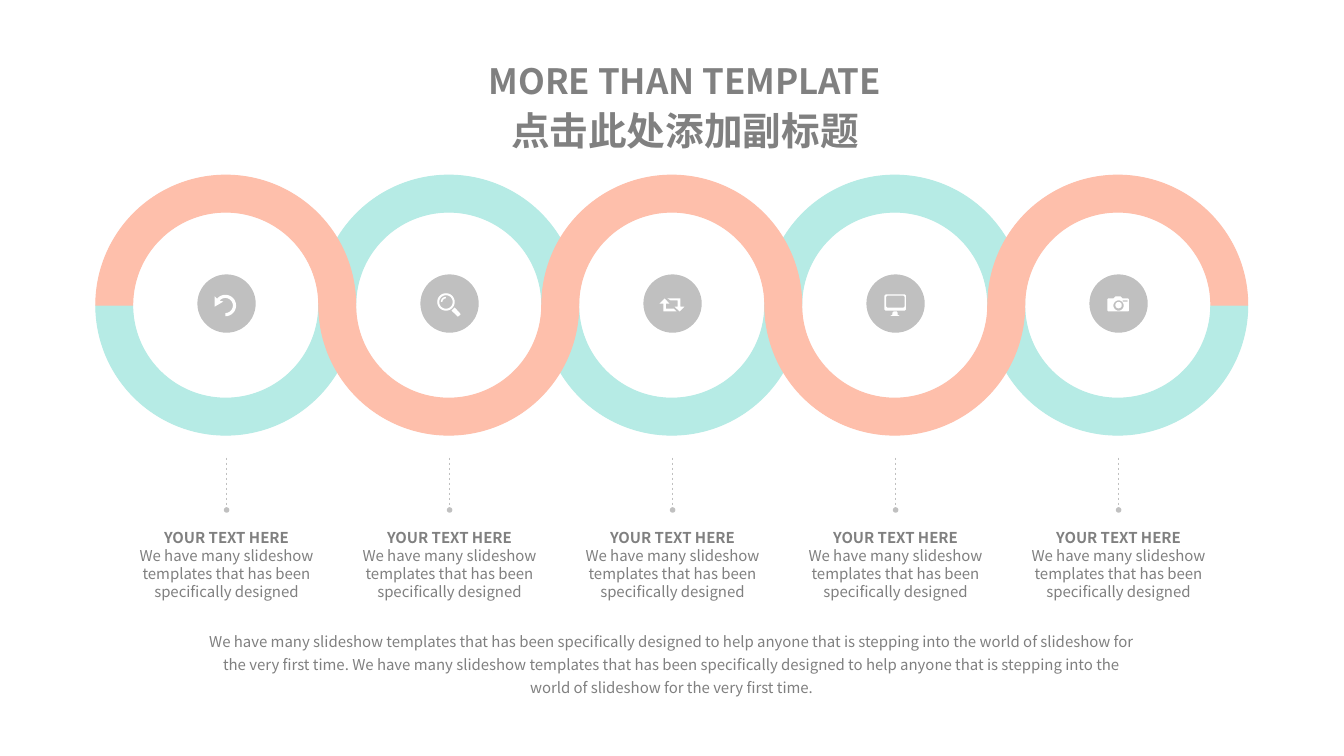
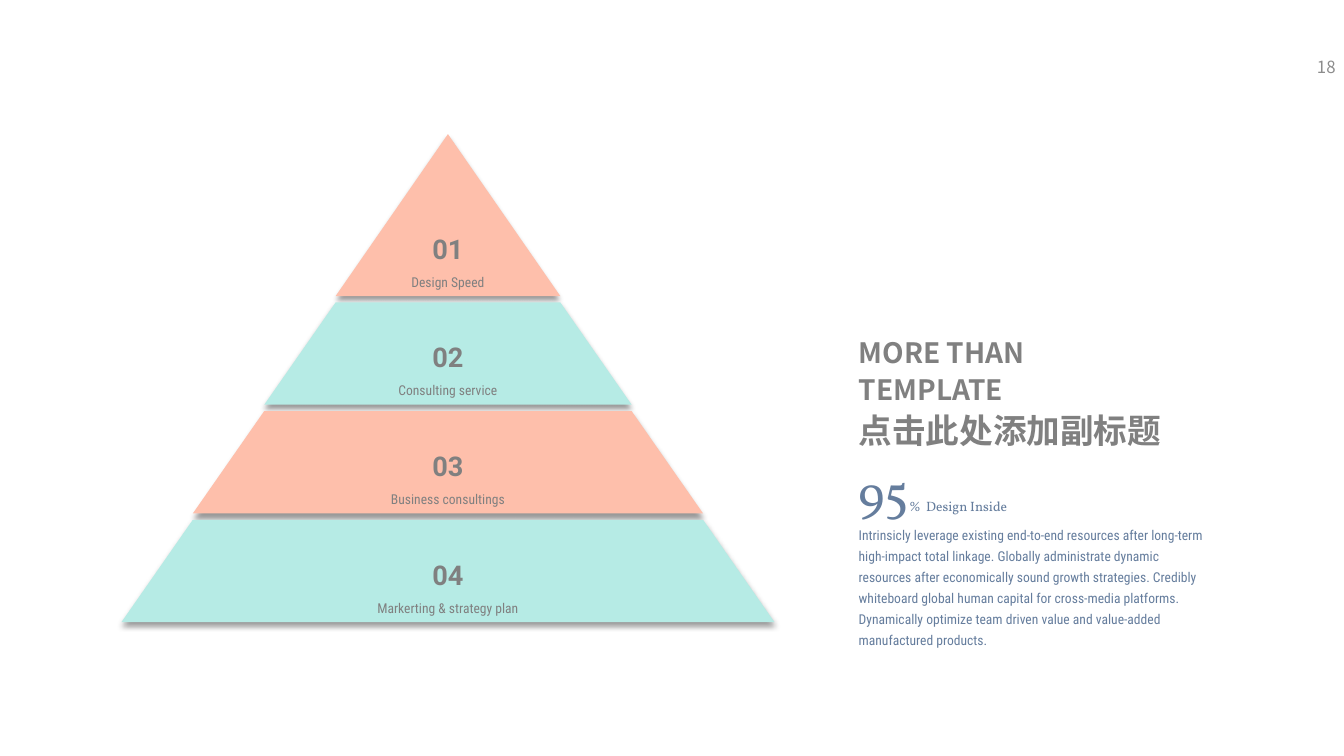
from math import cos, radians, sin

from lxml.etree import SubElement
from pptx import Presentation
from pptx.dml.color import RGBColor
from pptx.enum.dml import MSO_LINE as Dash
from pptx.enum.shapes import MSO_CONNECTOR as Link, MSO_SHAPE as Kind
from pptx.enum.text import MSO_ANCHOR as Anchor, MSO_AUTO_SIZE as Fit, PP_ALIGN as Align
from pptx.oxml.ns import qn
from pptx.util import Cm, Pt

HUES = {"coral": "FEBFAB", "mint": "B6EBE5", "grey": "C0C0C0", "white": "FFFFFF",
        "text": "808080", "page": "8C8C8C", "slate": "657D9D"}
SANS, BOLD, SLIM, SERIF = "Noto Sans CJK SC", "Roboto", "Roboto Condensed", "Vollkorn"

TITLE = ("MORE THAN TEMPLATE", "点击此处添加副标题")
HEAD = "YOUR TEXT HERE"
BODY = "We have many slideshow templates that has been specifically designed"
CLOSE = " ".join([BODY + " to help anyone that is stepping into the world of "
                  "slideshow for the very first time."] * 2)
LAYERS = ["Design Speed", "Consulting service", "Business consultings",
          "Markerting & strategy plan"]
SHARE = ("95", "%  Design Inside")
STORY = ("Intrinsicly leverage existing end-to-end resources after long-term "
         "high-impact total linkage. Globally administrate dynamic resources after "
         "economically sound growth strategies. Credibly whiteboard global human "
         "capital for cross-media platforms. Dynamically optimize team driven value "
         "and value-added manufactured products.")
PAGE = "18"


def arc(x, y, r, start=0, end=360):
    """Points along an arc, clockwise from the right, in degrees."""
    turns = [start + (end - start) * i / 36 for i in range(37)]
    return [(x + r * cos(radians(t)), y + r * sin(radians(t))) for t in turns]


def box(l, t, r, b, cut=0):
    """Corners of a rectangle, each cut off by the given amount."""
    return [(l + cut, t), (r - cut, t), (r, t + cut), (r, b - cut),
            (r - cut, b), (l + cut, b), (l, b - cut), (l, t + cut)]


# Outlines of each icon, in tenths of a millimetre from the badge centre
UNDO = [arc(-3, 5, 27, 220, 450) + arc(-3, 5, 19, 450, 220)
        + [(-8, -5), (-30, 8), (-30, -18)]]
LENS = [arc(-9, -4, 22), arc(-9, -4, 17),
        arc(-9, -4, 13, 180, 270) + arc(-9, -4, 9, 270, 180),
        [(13, 10), (25, 23), (28, 27), (25, 30), (21, 33), (18, 30), (5, 18)]]
LOOP = [[(-13, -13), (20, -13), (20, 8), (30, 8), (18, 20), (5, 8), (13, 8),
         (13, -8), (-5, -8)],
        [(-20, -13), (-8, 0), (-17, 0), (-17, 13), (3, 13), (10, 20), (-23, 20),
         (-23, 0), (-33, 0)]]
SCREEN = [box(-28, -23, 26, 18, 3), box(-24, -20, 23, 10, 3),
          [(-5, 20), (3, 20), (5, 23), (5, 28), (10, 31), (-13, 31), (-8, 28), (-8, 23)]]
CAMERA = [[(-28, -11), (-26, -13), (-13, -13), (-8, -18), (5, -18), (10, -13),
           (24, -13), (26, -11), (26, 18), (24, 20), (-26, 20), (-28, 18)],
          arc(0, 5, 13), arc(0, 4, 8), box(10, -8, 23, -5)]
ICONS = [UNDO, LENS, LOOP, SCREEN, CAMERA]


def rgb(hue):
    return RGBColor.from_string(HUES[hue])


def paint(shape, hue, edge=False):
    shape.shadow.inherit = False
    shape.fill.solid()
    shape.fill.fore_color.rgb = rgb(hue)
    if edge:
        shape.line.color.rgb = rgb(hue)
        shape.line.width = Pt(0.75)
    else:
        shape.line.fill.background()
    return shape


def draw(slide, loops, hue):
    """Fill closed outlines, given in cm, as one freeform."""
    loops = [[(Cm(x), Cm(y)) for x, y in loop] for loop in loops]
    pen = slide.shapes.build_freeform(*loops[0][0])
    for i, loop in enumerate(loops):
        if i:
            pen.move_to(*loop[0])
        pen.add_line_segments(loop[1:], close=True)
    return paint(pen.convert_to_shape(), hue)


def write(frame, paras, align=Align.LEFT, space=1.0):
    """Fill a frame; a paragraph is a list of (text, size, font, colour, bold)."""
    frame.word_wrap = True
    for i, runs in enumerate(paras):
        para = frame.add_paragraph() if i else frame.paragraphs[0]
        para.alignment, para.line_spacing = align, space
        for text, size, face, hue, bold in runs:
            run = para.add_run()
            run.text = text
            font = run.font
            font.size, font.name, font.bold = Pt(size), face, bold
            font.color.rgb = rgb(hue)
            SubElement(run._r.get_or_add_rPr(), qn("a:ea"), typeface=face)


def label(slide, area, paras, align=Align.LEFT, space=1.0, anchor=Anchor.TOP, fit=True):
    frame = slide.shapes.add_textbox(*map(Cm, area)).text_frame
    write(frame, paras, align, space)
    frame.vertical_anchor = anchor
    frame.auto_size = Fit.SHAPE_TO_FIT_TEXT if fit else Fit.NONE


def title(slide, area, sizes, align):
    paras = [[(text, size, SANS, "text", True)] for text, size in zip(TITLE, sizes)]
    label(slide, area, paras, align, 1.1, Anchor.MIDDLE)


def ring(slide, x, top, hue):
    """Half a ring: the upper half if top, else the lower."""
    mid, size, band = 7.69, 6.55, 0.93
    area = (x - size / 2, mid - size / 2, size, size)
    half = paint(slide.shapes.add_shape(Kind.BLOCK_ARC, *map(Cm, area)), hue, True)
    ends = (108, 0) if top else (0, 108)
    for i, value in enumerate((*ends, band / size)):
        half.adjustments[i] = value


def drop(slide, x):
    """Dashed line that ends in a dot."""
    line = slide.shapes.add_connector(Link.STRAIGHT, Cm(x), Cm(11.53), Cm(x), Cm(12.85))
    line.line.color.rgb = rgb("grey")
    line.line.width = Pt(0.5)
    line.line.dash_style = Dash.DASH
    SubElement(line.line._get_or_add_ln(), qn("a:tailEnd"), type="oval", w="sm", len="sm")
    SubElement(line._element.spPr, qn("a:effectLst"))


def shade(shape):
    """Soft shadow below the shape."""
    effects = shape._element.spPr.find(qn("a:effectLst"))
    outer = SubElement(effects, qn("a:outerShdw"), blurRad=str(Pt(4)), dist=str(Pt(3)),
                       dir="5400000", algn="t", rotWithShape="0")
    tint = SubElement(outer, qn("a:srgbClr"), val="000000")
    SubElement(tint, qn("a:alpha"), val="40000")


def chain(slide):
    mid, size, wide = 7.65, 1.47, 5.59
    spots = [5.71 + 5.62 * i for i in range(len(ICONS))]
    for hue, first in (("mint", False), ("coral", True)):
        for i, x in enumerate(spots):
            ring(slide, x - 0.02, first == (i % 2 == 0), hue)
    for x, icon in zip(spots, ICONS):
        area = (x - size / 2, mid - size / 2, size, size)
        paint(slide.shapes.add_shape(Kind.OVAL, *map(Cm, area)), "grey")
        draw(slide, [[(x + a / 100, mid + b / 100) for a, b in loop] for loop in icon],
             "white")
        drop(slide, x)
        label(slide, (x - wide / 2, 13.2, wide, 2.08),
              [[(HEAD, 10.7, SANS, "text", True)], [(BODY, 10.7, SANS, "text", False)]],
              Align.CENTER)
    label(slide, (4.93, 15.67, 24, 2.03), [[(CLOSE, 10.7, SANS, "text", False)]],
          Align.CENTER, 1.3)
    title(slide, (11.66, 1.27, 11.2, 2.72), (24.9, 27.6), Align.CENTER)


def pyramid(slide):
    mid, peak, base, step, tall = 11.29, 3.38, 7.46, 2.74, 2.58
    halves = [0] + [2.83 + 1.8 * i for i in range(len(LAYERS))]
    for i, name in enumerate(LAYERS):
        low = base + step * i
        high = low - tall if i else peak
        a, b = halves[i:i + 2]
        layer = draw(slide, [[(mid - b, low), (mid - a, high), (mid + a, high),
                              (mid + b, low)]], "mint" if i % 2 else "coral")
        shade(layer)
        frame = layer.text_frame
        frame.margin_left = frame.margin_right = frame.margin_top = Cm(0.03)
        frame.margin_bottom = Cm(0.15)
        frame.vertical_anchor = Anchor.BOTTOM
        write(frame, [[(f"{i + 1:02}", 19.4, BOLD, "text", True)],
                      [(name, 9.7, SLIM, "text", False)]], Align.CENTER, 0.9)
        frame.paragraphs[0].space_after = Pt(7.5)
    label(slide, (21.39, 11.02, 9.4, 6.05),
          [[(text, size, SERIF, "slate", False) for text, size in zip(SHARE, (36.4, 9.7))],
           [(STORY, 9.7, SLIM, "slate", False)]], space=1.3)
    label(slide, (32.36, 1.19, 1.55, 1), [[(PAGE, 12, SANS, "page", False)]],
          Align.RIGHT, anchor=Anchor.MIDDLE, fit=False)
    title(slide, (21.39, 8.69, 8.38, 2.34), (20, 24), Align.LEFT)


def main():
    deck = Presentation()
    deck.slide_width, deck.slide_height = Cm(33.87), Cm(19.05)
    for fill in (chain, pyramid):
        fill(deck.slides.add_slide(deck.slide_layouts[6]))
    deck.save("out.pptx")


if __name__ == "__main__":
    main()
